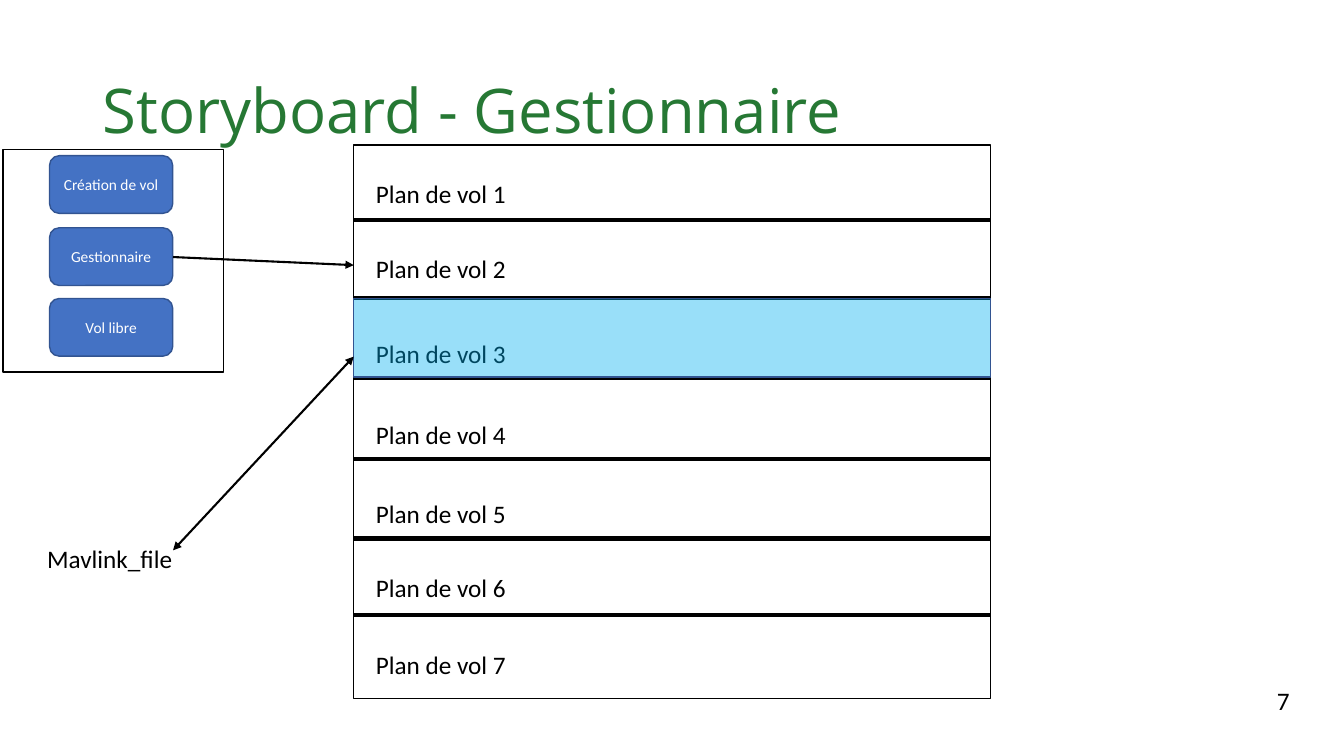
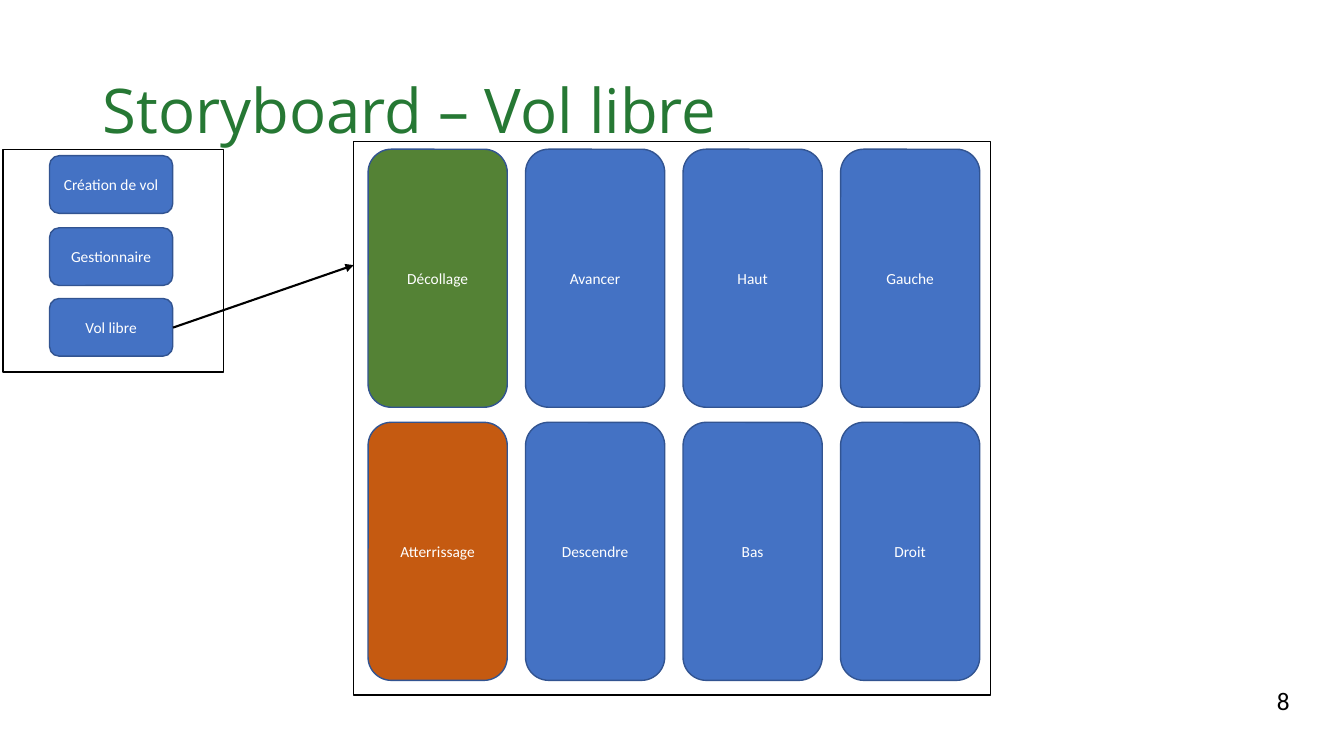
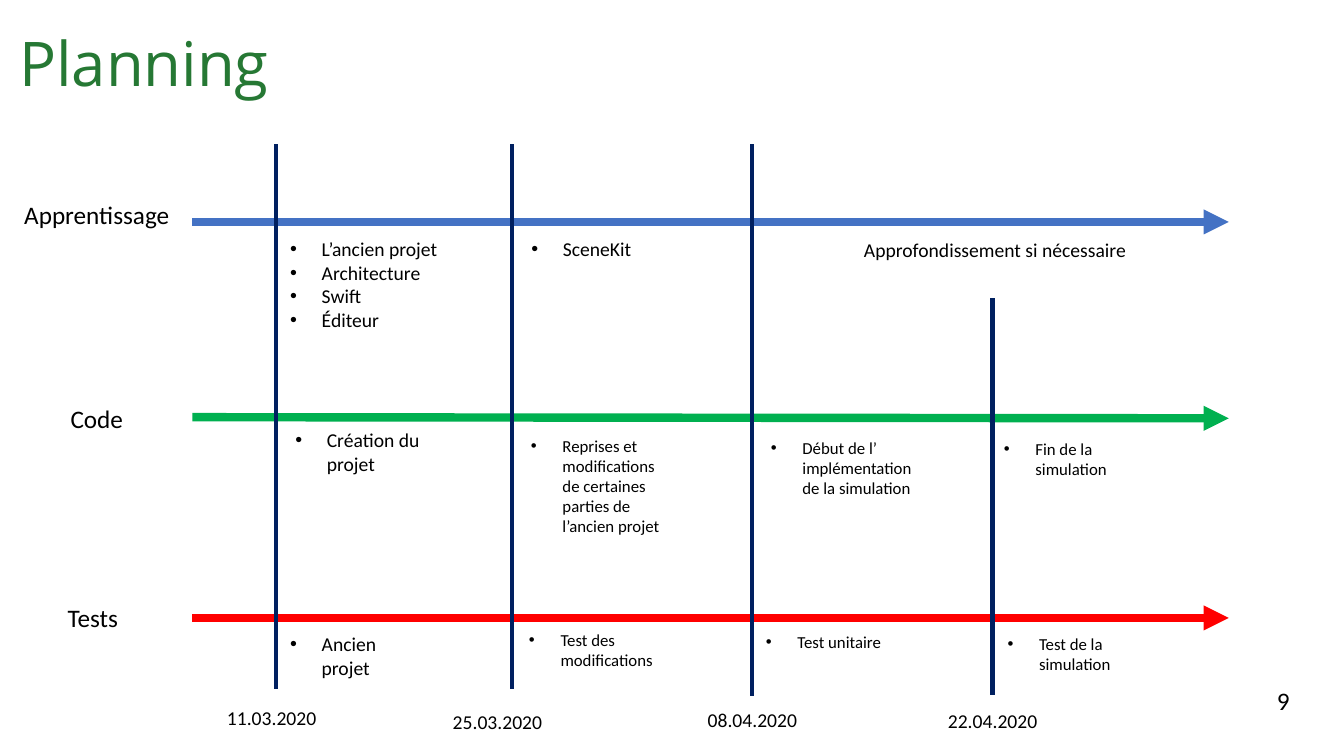
import pptx
import pptx.util
import pptx.dml.color
import pptx.enum.shapes
import pptx.enum.text
import pptx.oxml
import pptx.oxml.ns
import lxml.etree

Pt = pptx.util.Pt
color = pptx.dml.color.RGBColor.from_string
SHAPES = pptx.enum.shapes.MSO_SHAPE
ALIGN = pptx.enum.text.PP_ALIGN
ANCHOR = pptx.enum.text.MSO_ANCHOR
qn = pptx.oxml.ns.qn

BLACK, WHITE, GREEN = "000000", "FFFFFF", "267834"
BLUE, EDGE, NAVY = "4472C4", "325491", "002060"


def add_box(page, left, top, width, height, text="", size=18, kind=None, fill=None,
            line=BLACK, ink=BLACK, centered=False, bullets=False):
    """Add a preset shape, or a text box when no kind is given."""
    place = [Pt(value) for value in (left, top, width, height)]
    if kind is None:
        box = page.shapes.add_textbox(*place)
    else:
        box = page.shapes.add_shape(kind, *place)
        box.shadow.inherit = False
        box.line.color.rgb = color(line)
        box.line.width = Pt(1)
        if fill:
            box.fill.solid()
            box.fill.fore_color.rgb = color(fill)
        else:
            box.fill.background()
    frame = box.text_frame
    frame.word_wrap = True
    frame.vertical_anchor = ANCHOR.TOP if kind is None else ANCHOR.MIDDLE
    for index, words in enumerate(text.split("\n") if text else []):
        para = frame.add_paragraph() if index else frame.paragraphs[0]
        para.alignment = ALIGN.CENTER if centered else ALIGN.LEFT
        if bullets:
            layout = para._p.get_or_add_pPr()
            layout.set("marL", str(Pt(22.5)))
            layout.set("indent", str(Pt(-22.5)))
            lxml.etree.SubElement(layout, qn("a:buFont")).set("typeface", "Arial")
            lxml.etree.SubElement(layout, qn("a:buChar")).set("char", "•")
        span = para.add_run()
        span.text = words
        span.font.name = "Calibri"
        span.font.size = Pt(size)
        span.font.color.rgb = color(ink)
    return box


def add_line(page, x1, y1, x2, y2, ink=BLACK, width=3, ends=()):
    """Add a straight line; ends lists the arrowheads, headEnd before tailEnd."""
    line = page.shapes.add_connector(pptx.enum.shapes.MSO_CONNECTOR.STRAIGHT,
                                     Pt(x1), Pt(y1), Pt(x2), Pt(y2))
    line.line.color.rgb = color(ink)
    line.line.width = Pt(width)
    for end in ends:
        lxml.etree.SubElement(line.line._ln, qn("a:" + end)).set("type", "triangle")
    lxml.etree.SubElement(line._element.spPr, qn("a:effectLst"))


deck = pptx.Presentation()
deck.slide_width, deck.slide_height = Pt(960), Pt(540)

# Titles and page numbers
pages = []
for number, heading, left, top in [(7, "Storyboard - Gestionnaire", 66.2, 28.8),
                                   (8, "Storyboard – Vol libre", 66.2, 28.8),
                                   (9, "Planning", 6.5, -4.3)]:
    page = deck.slides.add_slide(deck.slide_layouts[5])
    title = page.shapes.title
    title.left, title.top, title.width, title.height = Pt(left), Pt(top), Pt(828), Pt(104.4)
    title.text_frame.vertical_anchor = ANCHOR.MIDDLE
    title.text_frame.auto_size = pptx.enum.text.MSO_AUTO_SIZE.NONE
    para = title.text_frame.paragraphs[0]
    para.alignment = ALIGN.LEFT
    para.line_spacing = 0.9
    span = para.add_run()
    span.text = heading
    span.font.name = "Open Sans"
    span.font.size = Pt(44)
    span.font.color.rgb = color(GREEN)
    add_box(page, 905, 486, 24, 28.8, str(number)).text_frame.word_wrap = False
    pages.append(page)
manager, free_flight, planning = pages

# Menu and screen panel of the storyboards
PANEL_LEFT, PANEL_WIDTH = 252.7, 455
PANEL_RIGHT = PANEL_LEFT + PANEL_WIDTH
for page, panel_top, arrow_start in [(manager, 103.7, 183.6), (free_flight, 101.2, 234)]:
    add_box(page, 2.2, 106.6, 157.5, 159, kind=SHAPES.RECTANGLE)
    for name, top in [("Création de vol", 111.2), ("Gestionnaire", 162.7), ("Vol libre", 213.2)]:
        add_box(page, 35.4, top, 88, 41.2, name, 11, SHAPES.ROUNDED_RECTANGLE,
                BLUE, EDGE, WHITE, centered=True)
    add_box(page, PANEL_LEFT, panel_top, PANEL_WIDTH, 395.3, kind=SHAPES.RECTANGLE)
    add_line(page, 123.6, arrow_start, PANEL_LEFT, 189.4, width=1.5, ends=["tailEnd"])

# Manager: list of flight plans, the third one selected
separators = [157, 213.1, 270.2, 327.6, 384.6, 439.2]
for y in separators:
    add_line(manager, PANEL_LEFT, y, PANEL_RIGHT, y)
for number, top in enumerate([123.8, 177.3, 238.3, 295.9, 352.6, 405.5, 460.1], 1):
    add_box(manager, 261.4, top, 126.7, 28.8, f"Plan de vol {number}")
selection = add_box(manager, PANEL_LEFT, separators[1], PANEL_WIDTH, 56.3,
                    kind=SHAPES.RECTANGLE, fill="00B0F0", line=EDGE)
tint = selection._element.spPr.find(qn("a:solidFill"))[0]
lxml.etree.SubElement(tint, qn("a:alpha")).set("val", "40000")
add_box(manager, 26.6, 384.7, 157.7, 28.8, "Mavlink_file")
add_line(manager, 123.6, 393.1, PANEL_LEFT, 254.7, width=1.5, ends=["headEnd", "tailEnd"])

# Free flight: grid of commands
commands = [["Décollage", "Avancer", "Haut", "Gauche"],
            ["Atterrissage", "Descendre", "Bas", "Droit"]]
fills = {"Décollage": "548235", "Atterrissage": "C55A11"}
for row, names in enumerate(commands):
    for column, name in enumerate(names):
        add_box(free_flight, 262.9 + 112.5 * column, 106.6 + 195.1 * row, 99.4, 184.3,
                name, 11, SHAPES.ROUNDED_RECTANGLE, fills.get(name, BLUE), EDGE, WHITE,
                centered=True)

# Planning: one arrow per track
for name, ink, start, end, left, top in [
        ("Apprentissage", BLUE, 158.5, 158.5, 9.4, 139),
        ("Code", "00B050", 298, 298.8, 9.4, 284.6),
        ("Tests", "FF0000", 441.4, 441.4, 6.5, 427)]:
    add_line(planning, 137.5, start, 877.7, end, ink, 6, ["tailEnd"])
    add_box(planning, left, top, 119.5, 28.8, name, centered=True)

# Planning: one vertical line per date
for date, x, start, end, left, top in [
        ("11.03.2020", 197.2, 103, 492.5, 128.9, 500.4),
        ("25.03.2020", 365.8, 103, 492.5, 290.2, 503.7),
        ("08.04.2020", 537.1, 103, 496.8, 472.3, 501.9),
        ("22.04.2020", 709, 213, 496.1, 643.9, 502.6)]:
    add_line(planning, x, start, x, end, NAVY)
    add_box(planning, left, top, 130.3, 28.8, date, 14, centered=True)

# Planning: tasks
for left, top, width, height, size, text in [
        (200.2, 165.8, 123.8, 74.9, 14, "L’ancien projet\nArchitecture\nSwift\nÉditeur"),
        (372.4, 165.8, 123.8, 24.5, 14, "SceneKit"),
        (203.8, 302.4, 106.6, 58.3, 14, "Création du projet"),
        (372.2, 307.4, 106.6, 94.3, 12,
         "Reprises et modifications de certaines parties de l’ancien projet"),
        (543.6, 309, 127.4, 65.5, 12, "Début de l’ implémentation de la simulation"),
        (710, 309.6, 127.4, 65.5, 12, "Fin de la simulation"),
        (200.2, 448, 110.2, 41, 14, "Ancien projet"),
        (370.8, 446.4, 110.2, 36, 12, "Test des modifications"),
        (540, 448, 110.2, 21.6, 12, "Test unitaire"),
        (712.6, 449.3, 110.2, 36, 12, "Test de la simulation")]:
    add_box(planning, left, top, width, height, text, size, bullets=True)
add_box(planning, 535.8, 166.5, 350, 24.5, "Approfondissement si nécessaire", 14, centered=True)

deck.save("out.pptx")
